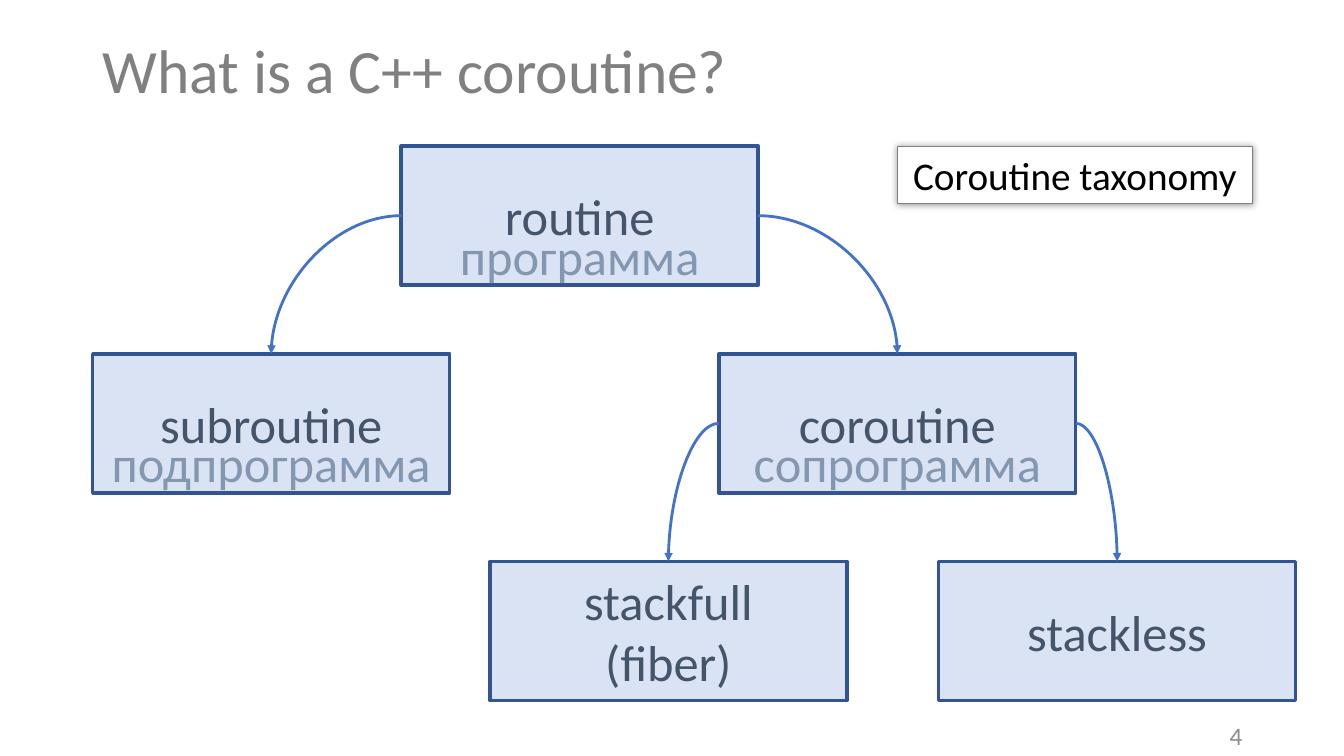
from lxml import etree
from pptx import Presentation
from pptx.dml.color import RGBColor
from pptx.enum.shapes import MSO_CONNECTOR, MSO_SHAPE
from pptx.enum.text import MSO_ANCHOR, PP_ALIGN
from pptx.oxml import parse_xml
from pptx.oxml.ns import nsdecls, qn
from pptx.util import Inches, Pt

RECT, CURVE = MSO_SHAPE.RECTANGLE, MSO_CONNECTOR.CURVE
LEFT, CENTER, RIGHT = PP_ALIGN.LEFT, PP_ALIGN.CENTER, PP_ALIGN.RIGHT
TOP, MIDDLE = MSO_ANCHOR.TOP, MSO_ANCHOR.MIDDLE
TOP_SITE, LEFT_SITE, RIGHT_SITE = 0, 1, 3

COLORS = {
    "white": "FFFFFF", "black": "000000", "title": "808080", "number": "8C8C8C",
    "node": "DAE3F3", "border": "325491", "term": "44546A",
    "translation": "8497B0", "arrow": "4472C4", "label_border": "808080",
}
FONT = "Calibri"
NODE_W, NODE_H = 3.54, 1.38
FIRST_ROW, ROW_STEP = 1.45, 2.06
TRANSLATION_DROP, TRANSLATION_H = 0.73, 0.71

# term: (left, row, lines, translation)
NODES = {
    "subroutine": (0.92, 1, ["subroutine"], "подпрограмма"),
    "routine": (3.98, 0, ["routine"], "программа"),
    "coroutine": (7.13, 1, ["coroutine"], "сопрограмма"),
    "stackfull": (4.86, 2, ["stackfull", "(fiber)"], None),
    "stackless": (9.31, 2, ["stackless"], None),
}
BRANCHES = [
    ("routine", LEFT_SITE, "subroutine"),
    ("routine", RIGHT_SITE, "coroutine"),
    ("coroutine", RIGHT_SITE, "stackless"),
    ("coroutine", LEFT_SITE, "stackfull"),
]


def rgb(name):
    return RGBColor.from_string(COLORS[name])


def write(shape, lines, size, color, align=CENTER, anchor=MIDDLE, spacing=1.0):
    frame = shape.text_frame
    frame.word_wrap = True
    frame.vertical_anchor = anchor
    for index, line in enumerate(lines):
        paragraph = frame.add_paragraph() if index else frame.paragraphs[0]
        paragraph.alignment = align
        paragraph.line_spacing = spacing
        run = paragraph.add_run()
        run.text = line
        run.font.name = FONT
        run.font.size = Pt(size)
        run.font.color.rgb = rgb(color)


def add_text(slide, box, text, **text_format):
    write(slide.shapes.add_textbox(*map(Inches, box)), [text], **text_format)


def add_box(slide, box, lines, fill, border, width, **text_format):
    rect = slide.shapes.add_shape(RECT, *map(Inches, box))
    rect.shadow.inherit = False
    rect.fill.solid()
    rect.fill.fore_color.rgb = rgb(fill)
    rect.line.color.rgb = rgb(border)
    rect.line.width = Pt(width)
    write(rect, lines, **text_format)
    return rect


def add_branch(slide, parent, side, child):
    """Curved arrow from a side of the parent to the top of the child."""
    arrow = slide.shapes.add_connector(CURVE, 0, 0, 0, 0)
    arrow.begin_connect(parent, side)
    arrow.end_connect(child, TOP_SITE)
    arrow.line.color.rgb = rgb("arrow")
    arrow.line.width = Pt(2)
    properties = arrow._element.spPr
    properties.find(qn("a:prstGeom")).set("prst", "curvedConnector2")
    etree.SubElement(arrow.line._get_or_add_ln(), qn("a:tailEnd"), type="triangle")
    etree.SubElement(properties, qn("a:effectLst"))


def add_tree(slide):
    boxes = {}
    for term, (left, row, lines, _) in NODES.items():
        area = (left, FIRST_ROW + row * ROW_STEP, NODE_W, NODE_H)
        boxes[term] = add_box(slide, area, lines, "node", "border", 2.5,
                              size=36, color="term")
    for parent, side, child in BRANCHES:
        add_branch(slide, boxes[parent], side, boxes[child])
    for left, row, _, translation in NODES.values():
        if translation:
            top = FIRST_ROW + row * ROW_STEP + TRANSLATION_DROP
            add_text(slide, (left, top, NODE_W, TRANSLATION_H), translation,
                     size=36, color="translation", anchor=TOP)


def add_taxonomy_label(slide, box):
    label = add_box(slide, box, ["Coroutine taxonomy"], "white", "label_border", 0.75,
                    size=28, color="black", anchor=TOP)
    shadow = parse_xml(
        f'<a:outerShdw {nsdecls("a")} blurRad="{Pt(5)}" dist="0" rotWithShape="0">'
        f'<a:srgbClr val="{COLORS["black"]}"><a:alpha val="40000"/></a:srgbClr>'
        '</a:outerShdw>')
    label._element.spPr.find(qn("a:effectLst")).append(shadow)


def main():
    deck = Presentation()
    deck.slide_width, deck.slide_height = Inches(13.33), Inches(7.5)
    slide = deck.slides.add_slide(deck.slide_layouts[6])
    add_text(slide, (0.92, 0, 11.5, 1.45), "What is a C++ coroutine?",
             size=44, color="title", align=LEFT, spacing=0.9)
    add_text(slide, (9.42, 7.1, 3, 0.4), "4", size=18, color="number", align=RIGHT)
    add_tree(slide)
    add_taxonomy_label(slide, (8.9, 1.45, 3.52, 0.57))
    deck.save("out.pptx")


if __name__ == "__main__":
    main()
